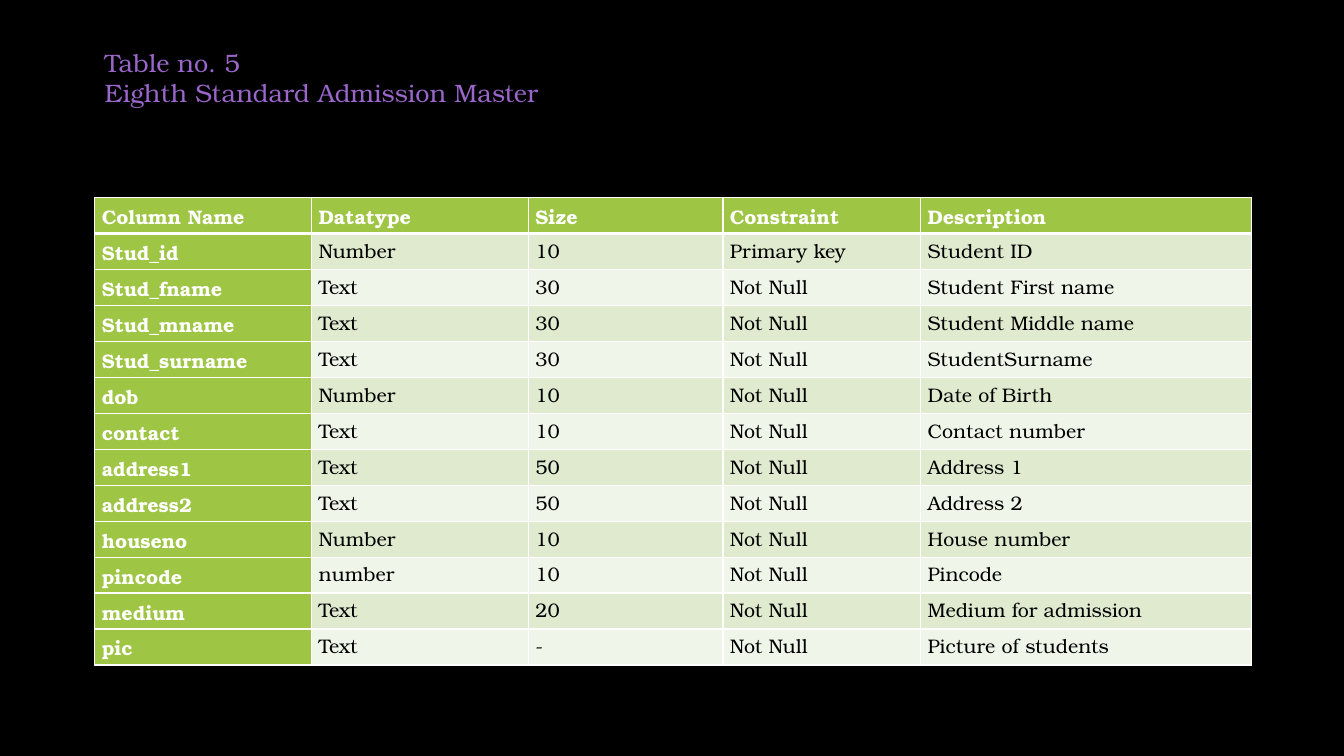
from lxml import etree
from pptx import Presentation
from pptx.dml.color import RGBColor
from pptx.oxml.ns import qn
from pptx.util import Inches, Pt

FONT = "TeX Gyre Bonum"
LEFT = 0.94
COLUMN_WIDTHS = [2.15, 2.15, 1.93, 1.96, 3.28]
ROW_HEIGHT = 4.64 / 13
GREEN, BANDS = "9EC544", ["F0F5E9", "DFEACF"]
WHITE, BLACK, PURPLE = "FFFFFF", "000000", "9A66CA"

ROWS = [
    ("Column Name", "Datatype", "Size", "Constraint", "Description"),
    ("Stud_id", "Number", "10", "Primary key", "Student ID"),
    ("Stud_fname", "Text", "30", "Not Null", "Student First name"),
    ("Stud_mname", "Text", "30", "Not Null", "Student Middle name"),
    ("Stud_surname", "Text", "30", "Not Null", "StudentSurname"),
    ("dob", "Number", "10", "Not Null", "Date of Birth"),
    ("contact", "Text", "10", "Not Null", "Contact number"),
    ("address1", "Text", "50", "Not Null", "Address 1"),
    ("address2", "Text", "50", "Not Null", "Address 2"),
    ("houseno", "Number", "10", "Not Null", "House number"),
    ("pincode", "number", "10", "Not Null", "Pincode"),
    ("medium", "Text", "20", "Not Null", "Medium for admission"),
    ("pic", "Text", "-", "Not Null", "Picture of students"),
]


def paint(color_format, color):
    color_format.rgb = RGBColor.from_string(color)


def format_runs(paragraph, size, color, bold=False):
    for run in paragraph.runs:
        run.font.name = FONT
        run.font.size = Pt(size)
        run.font.bold = bold
        paint(run.font.color, color)


# Slide with black background
presentation = Presentation()
presentation.slide_width = Inches(13.33)
presentation.slide_height = Inches(7.5)
slide = presentation.slides.add_slide(presentation.slide_layouts[6])
slide.background.fill.solid()
paint(slide.background.fill.fore_color, BLACK)

# Heading
heading = slide.shapes.add_textbox(Inches(LEFT), Inches(0.42), Inches(4.63), Inches(1.01))
heading.text_frame.word_wrap = True
heading.text_frame.text = "Table no. 5\nEighth Standard Admission Master"
for paragraph in heading.text_frame.paragraphs:
    format_runs(paragraph, 18, PURPLE)

# Table grid
table = slide.shapes.add_table(
    len(ROWS), len(COLUMN_WIDTHS), Inches(LEFT), Inches(1.96),
    Inches(sum(COLUMN_WIDTHS)), Inches(ROW_HEIGHT * len(ROWS))).table
table.first_row = False
table.horz_banding = False
for column, width in zip(table.columns, COLUMN_WIDTHS):
    column.width = Inches(width)

# Table cells: green header row and name column, banded body
for row_index, values in enumerate(ROWS):
    table.rows[row_index].height = Inches(ROW_HEIGHT)
    is_header = row_index == 0
    borders = {"a:lnL": 1, "a:lnR": 1, "a:lnB": 1}
    if is_header:
        borders = {"a:lnL": 1, "a:lnR": 1, "a:lnT": 1, "a:lnB": 3}
    for column_index, value in enumerate(values):
        is_label = is_header or column_index == 0
        cell = table.cell(row_index, column_index)
        cell.margin_left = cell.margin_right = Inches(0.07)
        cell.margin_top = cell.margin_bottom = 0
        cell.text_frame.text = value
        paragraph = cell.text_frame.paragraphs[0]
        paragraph.line_spacing = 1.15
        format_runs(paragraph, 14, WHITE if is_label else BLACK, is_label)

        properties = cell._tc.get_or_add_tcPr()
        for tag, width in borders.items():
            line = etree.SubElement(properties, qn(tag), w=str(Pt(width)))
            line_fill = etree.SubElement(line, qn("a:solidFill"))
            etree.SubElement(line_fill, qn("a:srgbClr"), val=WHITE)
        cell.fill.solid()
        paint(cell.fill.fore_color, GREEN if is_label else BANDS[row_index % 2])

presentation.save("out.pptx")
